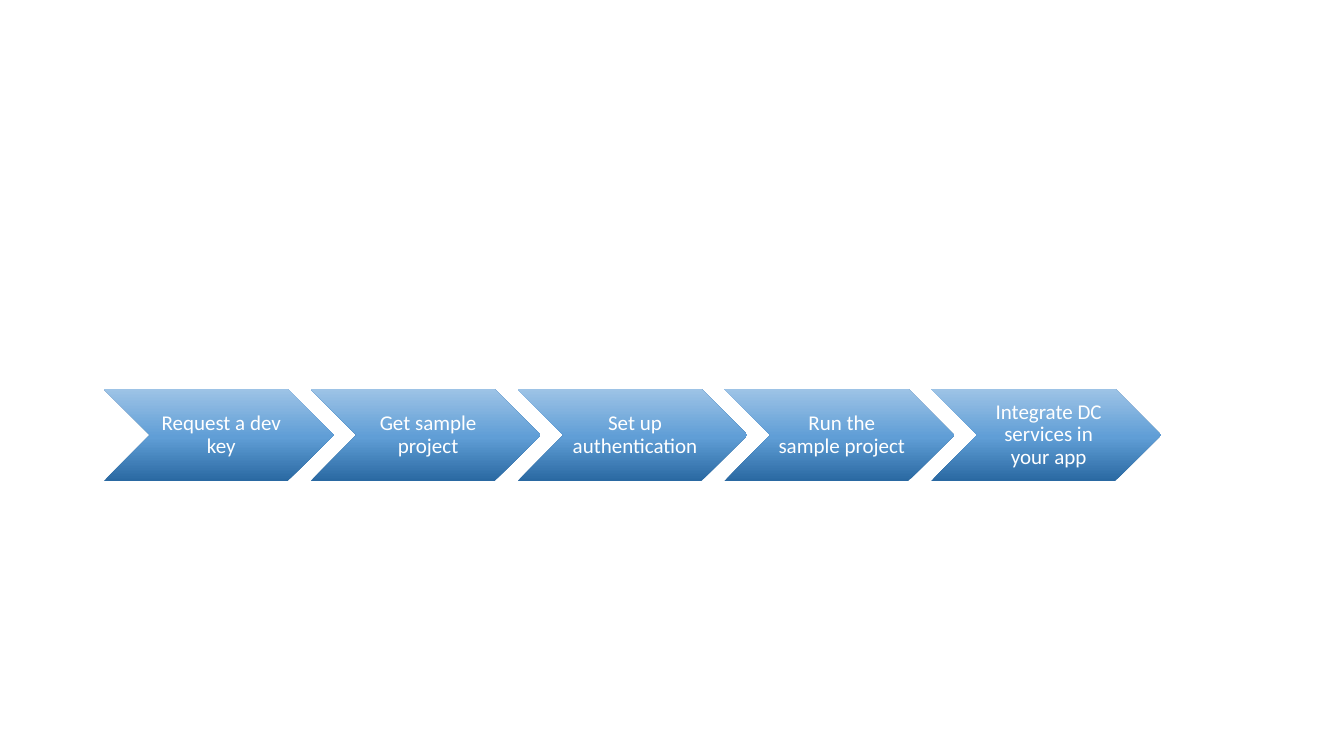
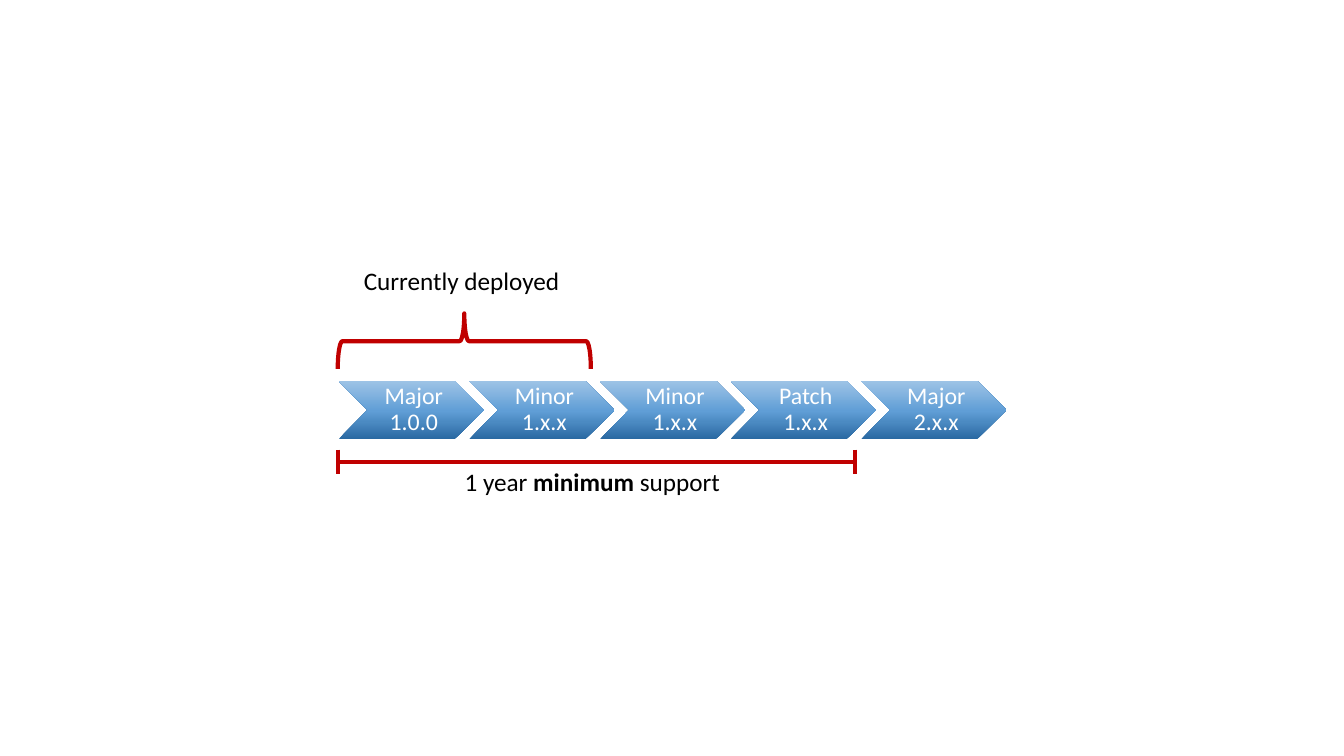
"""Build two slides of chevron chains: getting started steps and version support."""
from copy import deepcopy
from dataclasses import dataclass

from lxml.etree import SubElement
from pptx import Presentation
from pptx.dml.color import RGBColor
from pptx.enum.shapes import MSO_CONNECTOR, MSO_SHAPE
from pptx.enum.text import MSO_ANCHOR, MSO_AUTO_SIZE, PP_ALIGN
from pptx.oxml.ns import qn
from pptx.shapes.autoshape import Shape
from pptx.slide import Slide
from pptx.text.text import TextFrame
from pptx.util import Inches, Pt

SLIDE_WIDTH, SLIDE_HEIGHT = Inches(13.33), Inches(7.5)
COLUMN, ROW = SLIDE_WIDTH / 100, SLIDE_HEIGHT / 100

FONT = "Calibri"
WHITE = RGBColor(0xFF, 0xFF, 0xFF)
BLACK = RGBColor(0x00, 0x00, 0x00)
RED = RGBColor(0xC0, 0x00, 0x00)
DARK_BLUE = RGBColor(0x2A, 0x69, 0xA2)
MID_BLUE = RGBColor(0x60, 0x9E, 0xD6)
LIGHT_BLUE = RGBColor(0x9D, 0xC3, 0xE6)
BLUE_STOPS = ((0, DARK_BLUE), (0.48, MID_BLUE), (1, LIGHT_BLUE))

CHEVRON_PITCH = 0.9
CHEVRON_ASPECT = 0.4
MARK_WIDTH = Pt(3)
CAP_REACH = 1.6


@dataclass(frozen=True)
class Area:
    """A place on the grid of 100 columns by 100 rows."""
    left: float
    top: float
    width: float
    height: float

    def lengths(self) -> tuple[int, int, int, int]:
        return (round(self.left * COLUMN), round(self.top * ROW),
                round(self.width * COLUMN), round(self.height * ROW))


@dataclass(frozen=True)
class Chain:
    """A row of equal, overlapping chevrons, one for each step."""
    steps: tuple[str, ...]
    left: float
    top: float
    step_width: float
    size: int


@dataclass(frozen=True)
class Label:
    """A one-line caption whose runs are pairs of text and boldness."""
    runs: tuple[tuple[str, bool], ...]
    area: Area


GETTING_STARTED = Chain(
    ("Request a dev key", "Get sample project", "Set up authentication",
     "Run the sample project", "Integrate DC services in your app"),
    left=7.73, top=51.47, step_width=17.1, size=15)
RELEASES = Chain(
    ("Major 1.0.0", "Minor 1.x.x", "Minor 1.x.x", "Patch 1.x.x", "Major 2.x.x"),
    left=25.2, top=50.4, step_width=10.8, size=17)
SUPPORT_START, SUPPORT_END, SUPPORT_ROW = 25.13, 63.6, 61.07
DEPLOYED_BRACE = Area(32.48, 28.4, 4.13, 33.47)
LABELS = (
    Label((("1 year ", False), ("minimum", True), (" support", False)),
          Area(33.83, SUPPORT_ROW, 20.55, 5.33)),
    Label((("Currently deployed", False),), Area(26.33, 34.4, 16.28, 5.33)),
)


def add_text(frame: TextFrame, text: str, *, size: int, color: RGBColor,
             bold: bool = False) -> None:
    run = frame.paragraphs[0].add_run()
    run.text = text
    run.font.name, run.font.size, run.font.bold = FONT, Pt(size), bold
    run.font.color.rgb = color


def fill_blue(shape: Shape) -> None:
    shape.fill.gradient()
    shape.fill.gradient_angle = 90
    stop_list = shape._element.spPr.find(qn("a:gradFill")).find(qn("a:gsLst"))
    stop_list.append(deepcopy(stop_list[0]))
    for stop, (position, color) in zip(shape.fill.gradient_stops, BLUE_STOPS):
        stop.position, stop.color.rgb = position, color


def draw_chain(slide: Slide, chain: Chain) -> None:
    height = chain.step_width * COLUMN * CHEVRON_ASPECT / ROW
    for index, step in enumerate(chain.steps):
        left = chain.left + index * chain.step_width * CHEVRON_PITCH
        area = Area(left, chain.top, chain.step_width, height)
        chevron = slide.shapes.add_shape(MSO_SHAPE.CHEVRON, *area.lengths())
        chevron.shadow.inherit = False
        chevron.line.fill.background()
        fill_blue(chevron)
        frame = chevron.text_frame
        frame.word_wrap = True
        frame.vertical_anchor = MSO_ANCHOR.MIDDLE
        frame.margin_left = Inches(0.07)
        frame.margin_top = frame.margin_right = frame.margin_bottom = Inches(0.02)
        frame.paragraphs[0].alignment = PP_ALIGN.CENTER
        frame.paragraphs[0].line_spacing = 0.9
        add_text(frame, step, size=chain.size, color=WHITE)


def draw_line(slide: Slide, start: tuple[float, float], end: tuple[float, float]) -> None:
    ends = [round(share * unit) for point in (start, end)
            for share, unit in zip(point, (COLUMN, ROW))]
    line = slide.shapes.add_connector(MSO_CONNECTOR.STRAIGHT, *ends)
    line.line.color.rgb, line.line.width = RED, MARK_WIDTH
    SubElement(line._element.spPr, qn("a:effectLst"))


def draw_support_span(slide: Slide) -> None:
    draw_line(slide, (SUPPORT_START, SUPPORT_ROW), (SUPPORT_END, SUPPORT_ROW))
    for column in (SUPPORT_START, SUPPORT_END):
        draw_line(slide, (column, SUPPORT_ROW - CAP_REACH), (column, SUPPORT_ROW + CAP_REACH))


def draw_brace(slide: Slide, area: Area) -> None:
    brace = slide.shapes.add_shape(MSO_SHAPE.LEFT_BRACE, *area.lengths())
    brace.rotation = 90
    brace.shadow.inherit = False
    brace.fill.background()
    brace.line.color.rgb, brace.line.width = RED, MARK_WIDTH


def draw_label(slide: Slide, label: Label) -> None:
    frame = slide.shapes.add_textbox(*label.area.lengths()).text_frame
    frame.word_wrap = False
    frame.auto_size = MSO_AUTO_SIZE.SHAPE_TO_FIT_TEXT
    for text, bold in label.runs:
        add_text(frame, text, size=18, color=BLACK, bold=bold)


def main() -> None:
    deck = Presentation()
    deck.slide_width, deck.slide_height = SLIDE_WIDTH, SLIDE_HEIGHT
    blank = deck.slide_layouts[6]
    draw_chain(deck.slides.add_slide(blank), GETTING_STARTED)
    versions = deck.slides.add_slide(blank)
    draw_chain(versions, RELEASES)
    draw_support_span(versions)
    draw_brace(versions, DEPLOYED_BRACE)
    for label in LABELS:
        draw_label(versions, label)
    deck.save("out.pptx")


main()
